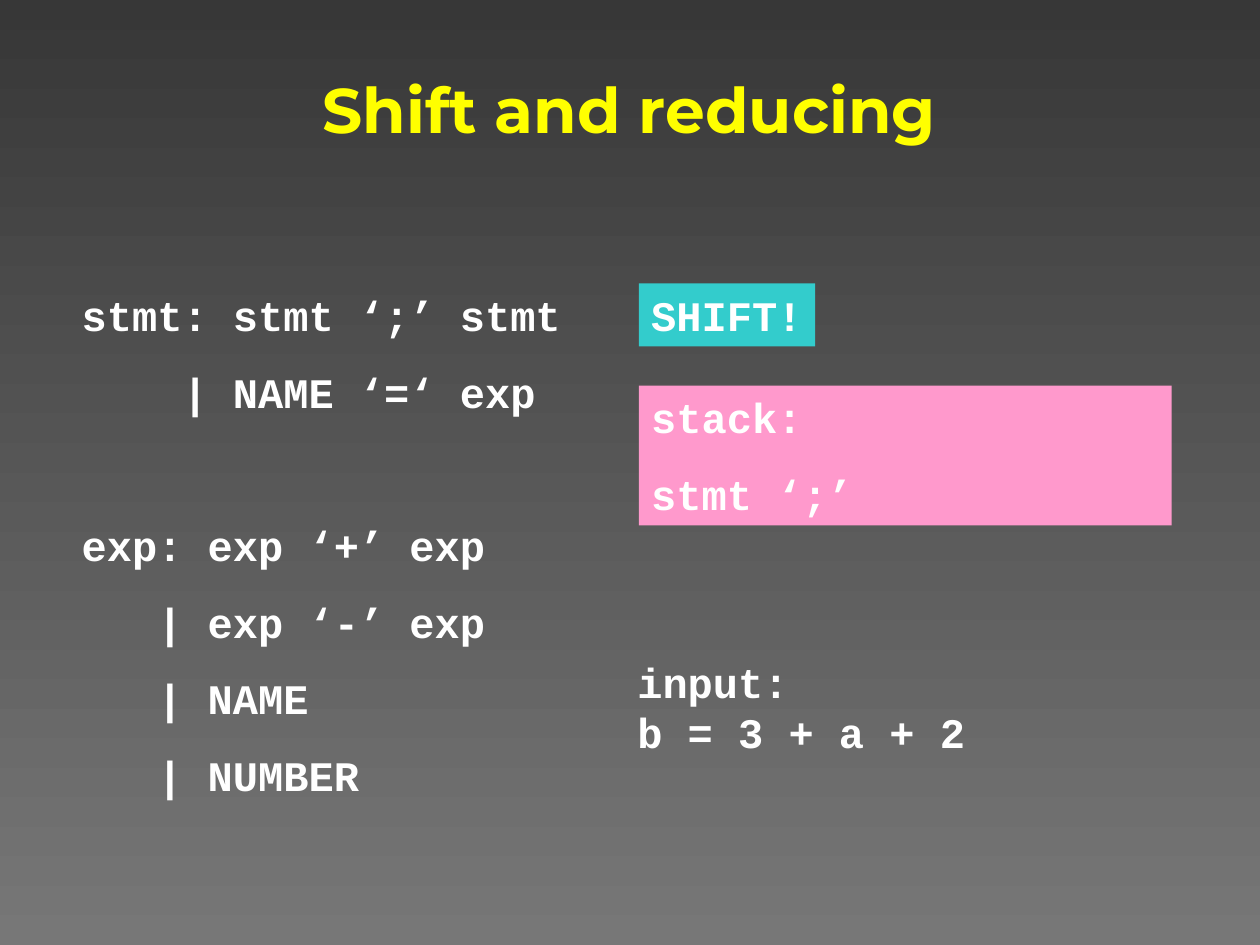
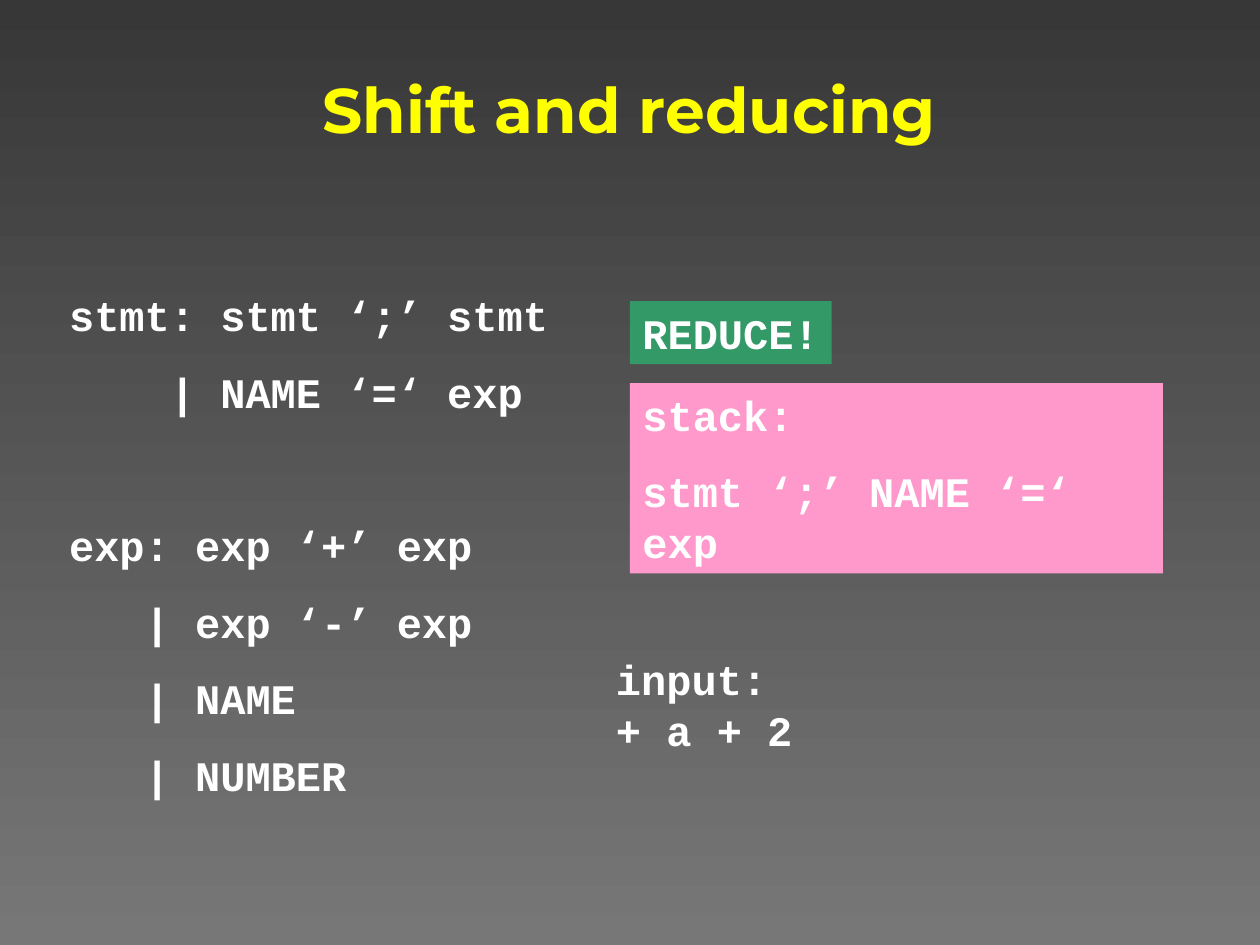
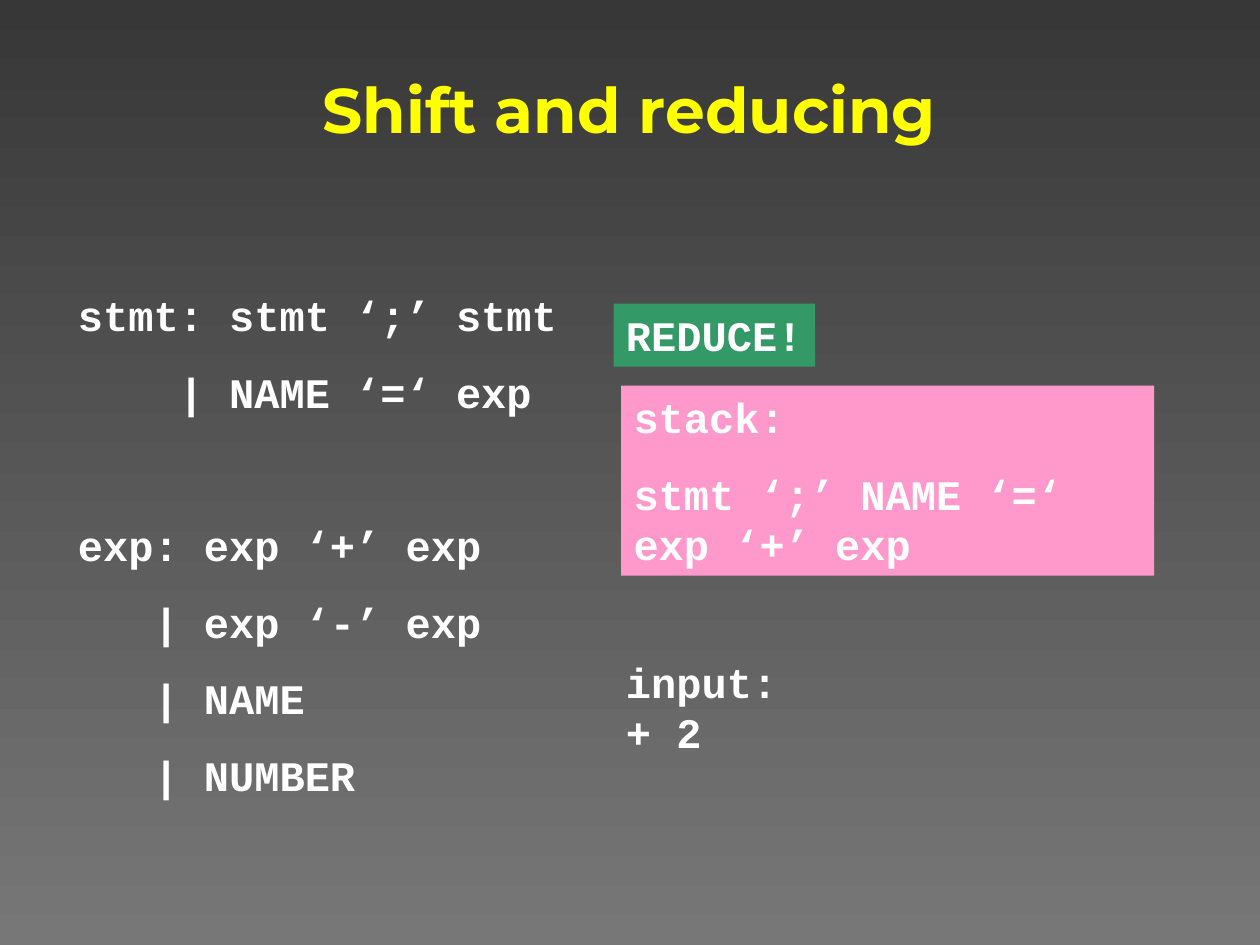
from dataclasses import dataclass

from pptx import Presentation
from pptx.dml.color import RGBColor
from pptx.enum.shapes import MSO_SHAPE as Preset
from pptx.enum.text import MSO_ANCHOR as Anchor, MSO_AUTO_SIZE as AutoSize, PP_ALIGN as Align
from pptx.presentation import Presentation as Deck
from pptx.slide import Slide
from pptx.text.text import Font
from pptx.util import Inches, Pt


@dataclass(frozen=True)
class Theme:
    background: tuple[str, str] = ("373737", "777777")
    title_color: str = "FFFF00"
    text_color: str = "FFFFFF"
    stack: str = "FF99CC"
    shift: str = "33CCCC"
    reduce: str = "339966"
    title_font: str = "Montserrat"
    code_font: str = "Courier New"
    title_size: float = 36
    code_size: float = 24
    paragraph_gap: float = 15
    group_gap: float = 58.8


THEME = Theme()
CHARACTER_WIDTH = 0.2
LINE_HEIGHT = 0.4
INSET = {"margin_left": 0.1, "margin_top": 0.05, "margin_right": 0.1, "margin_bottom": 0.05}
TITLE = "Shift and reducing"
GRAMMAR = (
    "stmt: stmt ‘;’ stmt",
    "    | NAME ‘=‘ exp",
    "exp: exp ‘+’ exp",
    "   | exp ‘-’ exp",
    "   | NAME",
    "   | NUMBER",
)
GROUP_START = 2


@dataclass(frozen=True)
class CodeBox:
    lines: tuple[str, ...]
    left: float
    top: float
    width: float | None = None
    height: float | None = None
    fill: str | None = None
    gaps: tuple[float, ...] = ()


@dataclass(frozen=True)
class ParserStep:
    action: str
    action_color: str
    action_at: tuple[float, float]
    stack: str
    stack_at: tuple[float, float]
    stack_lines: int
    remaining: str
    input_at: tuple[float, float]
    grammar_left: float
    grammar_width: float


STEPS = (
    ParserStep("SHIFT!", THEME.shift, (5.07, 2.25), "stmt ‘;’", (5.07, 3.06), 2,
               "b = 3 + a + 2", (4.96, 5.16), 0.55, 4.01),
    ParserStep("REDUCE!", THEME.reduce, (5, 2.39), "stmt ‘;’ NAME ‘=‘ exp", (5, 3.04), 3,
               "+ a + 2", (4.79, 5.14), 0.45, 4.1),
    ParserStep("REDUCE!", THEME.reduce, (4.87, 2.41), "stmt ‘;’ NAME ‘=‘ exp ‘+’ exp",
               (4.93, 3.06), 3, "+ 2", (4.87, 5.16), 0.52, 4.04),
)


def format_font(font: Font, name: str, size: float, color: str) -> None:
    for attribute, value in {"name": name, "size": Pt(size), "bold": True}.items():
        setattr(font, attribute, value)
    font.color.rgb = RGBColor.from_string(color)


def set_background(presentation: Deck) -> None:
    fill = presentation.slide_master.background.fill
    fill.gradient()
    fill.gradient_angle = 270
    for position, (stop, color) in enumerate(zip(fill.gradient_stops, THEME.background)):
        stop.position = position
        stop.color.rgb = RGBColor.from_string(color)


def add_title(slide: Slide) -> None:
    title = slide.shapes.title
    place = {"left": 0.29, "top": 0.36, "width": 9.41, "height": 1}
    for attribute, value in place.items():
        setattr(title, attribute, Inches(value))
    title.text_frame.text = TITLE
    title.text_frame.vertical_anchor = Anchor.MIDDLE
    paragraph = title.text_frame.paragraphs[0]
    paragraph.alignment = Align.CENTER
    format_font(paragraph.runs[0].font, THEME.title_font, THEME.title_size, THEME.title_color)


def add_code_box(slide: Slide, box: CodeBox) -> None:
    """Draw lines of code; a box without a width is sized by its longest line."""
    width = box.width or max(map(len, box.lines)) * CHARACTER_WIDTH + 0.2
    height = box.height or len(box.lines) * LINE_HEIGHT + 0.1
    place = [Inches(value) for value in (box.left, box.top, width, height)]
    if box.fill:
        shape = slide.shapes.add_shape(Preset.RECTANGLE, *place)
        shape.shadow.inherit = False
        shape.fill.solid()
        shape.fill.fore_color.rgb = RGBColor.from_string(box.fill)
        shape.line.fill.background()
    else:
        shape = slide.shapes.add_textbox(*place)
    frame = shape.text_frame
    for attribute, value in INSET.items():
        setattr(frame, attribute, Inches(value))
    frame.word_wrap = box.width is not None
    frame.auto_size = AutoSize.SHAPE_TO_FIT_TEXT
    frame.vertical_anchor = Anchor.TOP
    frame.text = "\n".join(box.lines)
    for paragraph in frame.paragraphs:
        paragraph.alignment = Align.LEFT
        format_font(paragraph.runs[0].font, THEME.code_font, THEME.code_size, THEME.text_color)
    for paragraph, gap in zip(frame.paragraphs[1:], box.gaps):
        paragraph.space_before = Pt(gap)


def add_step(presentation: Deck, step: ParserStep) -> None:
    slide = presentation.slides.add_slide(presentation.slide_layouts.get_by_name("Title Only"))
    add_title(slide)
    gap = THEME.paragraph_gap
    grammar_gaps = tuple(THEME.group_gap if index == GROUP_START else gap
                         for index in range(1, len(GRAMMAR)))
    stack_height = round(step.stack_lines * LINE_HEIGHT + 0.1 + gap / 72, 2)
    boxes = (
        CodeBox(GRAMMAR, step.grammar_left, 2.25, step.grammar_width, 4.15, gaps=grammar_gaps),
        CodeBox(("input:", step.remaining), *step.input_at),
        CodeBox(("stack:", step.stack), *step.stack_at, 4.23, stack_height, THEME.stack, (gap,)),
        CodeBox((step.action,), *step.action_at, fill=step.action_color),
    )
    for box in boxes:
        add_code_box(slide, box)


def main() -> None:
    presentation = Presentation()
    presentation.slide_width, presentation.slide_height = Inches(10), Inches(7.5)
    set_background(presentation)
    for step in STEPS:
        add_step(presentation, step)
    presentation.save("out.pptx")


if __name__ == "__main__":
    main()
